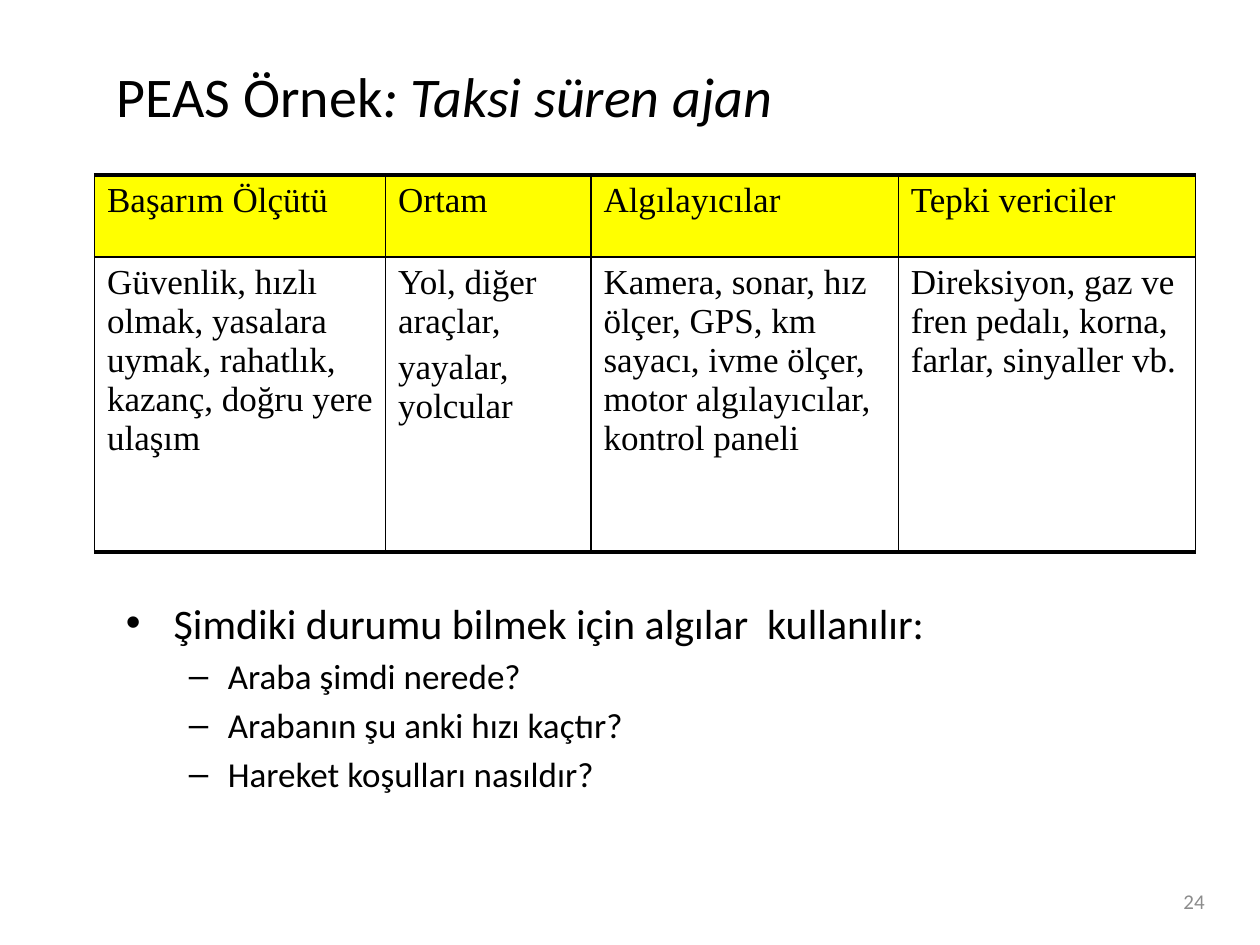
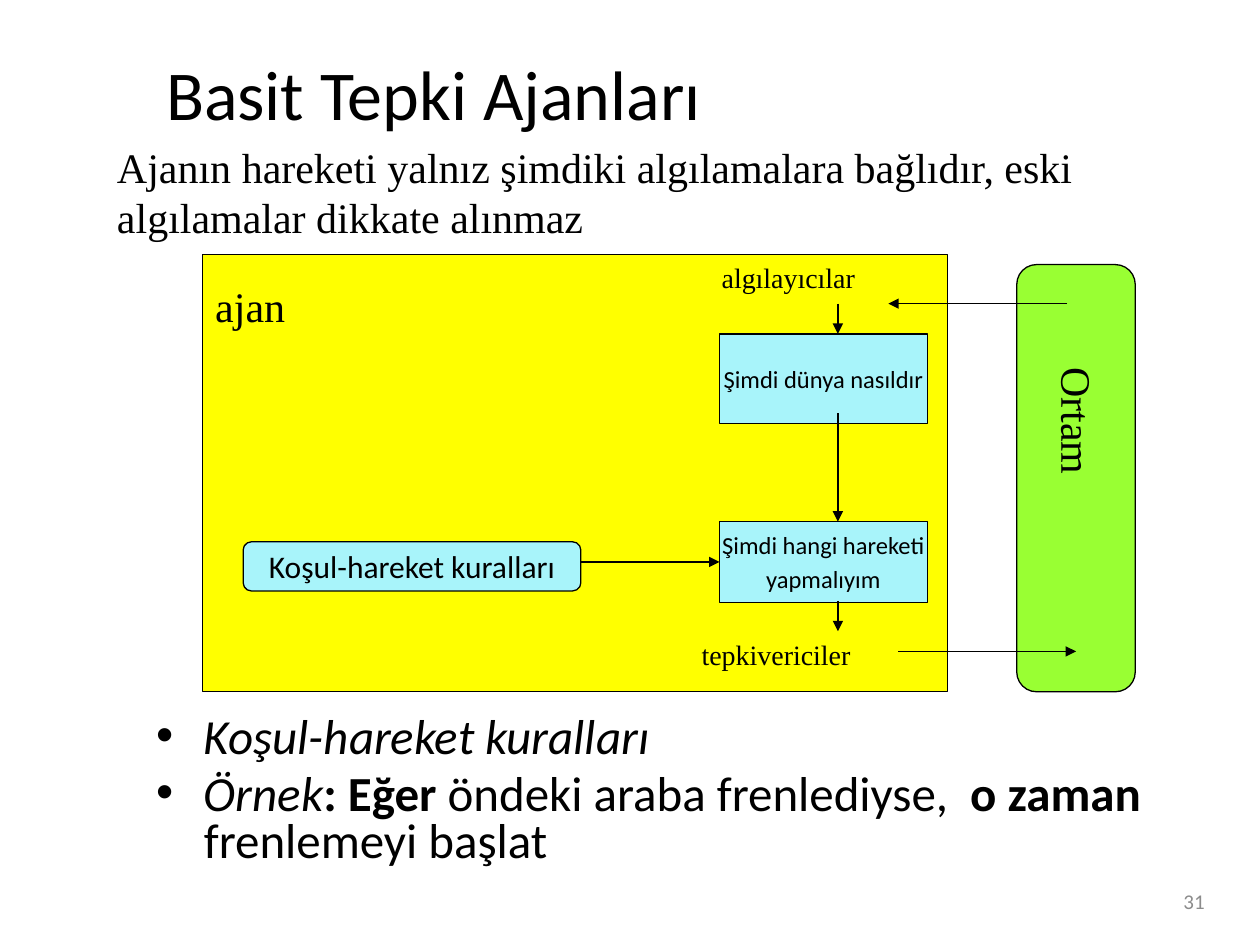
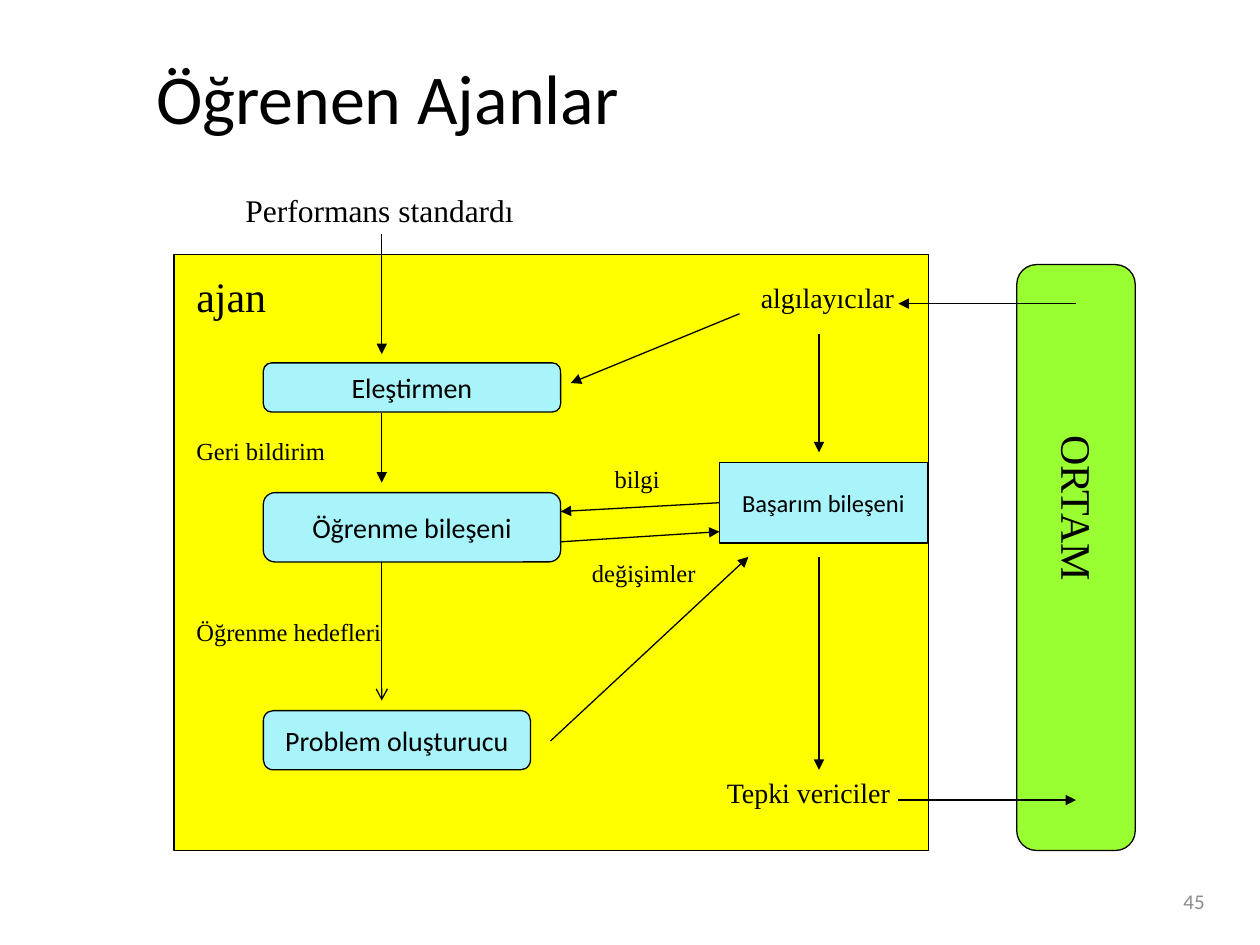
"""Build three slides on intelligent agents: a PEAS table and two agent diagrams."""
from dataclasses import dataclass

from lxml.etree import SubElement
from pptx import Presentation
from pptx.dml.color import RGBColor
from pptx.enum.shapes import MSO_CONNECTOR, MSO_SHAPE
from pptx.enum.text import MSO_ANCHOR, MSO_AUTO_SIZE, PP_ALIGN
from pptx.oxml.ns import qn
from pptx.util import Inches, Pt


@dataclass(frozen=True)
class Theme:
    black: str = "000000"
    gray: str = "8C8C8C"
    white: str = "FFFFFF"
    agent: str = "FFFF00"
    environment: str = "99FF33"
    step: str = "A8F4FA"
    sans: str = "Calibri"
    serif: str = "Times New Roman"
    title: int = 40
    large: int = 24
    table: int = 20
    number: int = 12
    line: float = 0.75
    thin: float = 1
    thick: float = 2.25
    corner: float = 0.167
    gap: float = 0.2


THEME = Theme()
BULLETS = [("•", 0.38, 0.38), ("–", 0.81, 0.31)]

TAXI = {
    "number": "24",
    "title": ([("PEAS Örnek", ""), (": Taksi süren ajan", "i")], (0.83, 0.36, 8.97, 0.79), 32),
    "body": (0.9, 4.69, 8.75, 2.44),
    "bullets": [
        (0, 24, [("Şimdiki durumu bilmek için algılar  kullanılır:", "")]),
        (1, 20, [("Araba şimdi nerede?", "")]),
        (1, 20, [("Arabanın şu anki hızı kaçtır?", "")]),
        (1, 20, [("Hareket koşulları nasıldır?", "")]),
    ],
}
PEAS_AT = (0.75, 1.39)
PEAS_COLUMNS = [2.31, 1.63, 2.44, 2.36]
PEAS_ROWS = [0.65, 2.34]
PEAS = [
    [["Başarım Ölçütü"], ["Ortam"], ["Algılayıcılar"], ["Tepki vericiler"]],
    [
        ["Güvenlik, hızlı olmak, yasalara uymak, rahatlık, kazanç, doğru yere ulaşım"],
        ["Yol, diğer araçlar,", "yayalar, yolcular"],
        ["Kamera, sonar, hız ölçer, GPS, km sayacı, ivme ölçer, motor algılayıcılar, kontrol paneli"],
        ["Direksiyon, gaz ve fren pedalı, korna, farlar, sinyaller vb."],
    ],
]

REFLEX = {
    "number": "31",
    "title": ([("Basit Tepki Ajanları", "")], (1.22, 0.28, 8.5, 0.91), THEME.title),
    "body": (1.14, 5.64, 8.5, 1.42),
    "spacing": 0.8,
    "bullets": [
        (0, 28, [("Koşul-hareket kuralları", "i")]),
        (0, 28, [("Örnek", "i"), (": Eğer", "b"), (" öndeki araba frenlediyse,  ", ""),
                 ("o zaman", "b"), (" frenlemeyi başlat", "")]),
    ],
    "agent": (1.61, 2.02, 5.91, 3.47),
    "environment": (8.07, 2.1, 0.94, 3.39),
    "environment_label": ("Ortam", (8.03, 3.09, 1.05, 0.5)),
    "steps": {
        "world": (["Şimdi dünya nasıldır"], (5.71, 2.65, 1.65, 0.71), 14, False),
        "action": (["Şimdi hangi hareketi", "yapmalıyım"], (5.71, 4.14, 1.65, 0.64), 14, False),
        "rules": (["Koşul-hareket kuralları"], (1.93, 4.3, 2.68, 0.39), 18, True),
    },
    "labels": [
        ("ajan", (1.61, 2.18, 0.91, 0.5), 24),
        ("algılayıcılar", (5.63, 2.02, 1.44, 0.37), 16),
        ("tepkivericiler", (5.47, 5.01, 1.65, 0.37), 16),
        ("Ajanın hareketi yalnız şimdiki algılamalara bağlıdır, eski algılamalar dikkate alınmaz",
         (0.83, 1.07, 8.98, 0.91), 24),
    ],
    "arrows": [
        ((6.65, 3.28), (6.65, 4.14)),
        ((4.61, 4.46), ("action", 1)),
        ((8.47, 2.41), (7.05, 2.41)),
        ((6.65, 2.41), (6.65, 2.65)),
        ((6.65, 4.77), (6.65, 5.01)),
        ((7.13, 5.17), (8.54, 5.17)),
    ],
}

LEARNING = {
    "number": "45",
    "title": ([("Öğrenen Ajanlar", "")], (1.14, 0.28, 8.5, 0.97), THEME.title),
    "agent": (1.38, 2.02, 5.99, 4.73),
    "environment": (8.07, 2.1, 0.94, 4.65),
    "environment_label": ("ORTAM", (7.85, 3.81, 1.41, 0.5)),
    "steps": {
        "critic": (["Eleştirmen"], (2.09, 2.88, 2.36, 0.39), 16, True),
        "learner": (["Öğrenme bileşeni"], (2.09, 3.91, 2.36, 0.55), 16, True),
        "performer": (["Başarım bileşeni"], (5.71, 3.67, 1.65, 0.64), 14, False),
        "generator": (["Problem oluşturucu"], (2.09, 5.64, 2.12, 0.47), 16, True),
    },
    "labels": [
        ("ajan", (1.46, 2.1, 0.91, 0.5), 24),
        ("algılayıcılar", (5.94, 2.18, 1.44, 0.37), 16),
        ("Tepki vericiler", (5.67, 6.11, 1.65, 0.37), 16),
        ("Öğrenme hedefleri", (1.46, 4.85, 1.81, 0.34), 14),
        ("Geri bildirim", (1.46, 3.41, 1.57, 0.34), 14),
        ("Performans standardı", (1.85, 1.47, 2.54, 0.4), 18),
        ("değişimler", (4.6, 4.38, 1.07, 0.34), 14),
        ("bilgi", (4.78, 3.63, 0.83, 0.33), 14),
    ],
    "arrows": [
        ((8.54, 2.41), (7.13, 2.41)),
        ((7.13, 6.35), (8.54, 6.35)),
        ((4.45, 4.3), (5.71, 4.22)),
        ((6.5, 2.65), (6.5, 3.59)),
        ((5.87, 2.49), (4.53, 3.04)),
        (("performer", 1), (4.45, 4.06)),
        ((6.5, 4.42), (6.5, 6.11)),
        ((4.37, 5.88), (5.94, 4.42)),
        ((3.03, 4.46), (3.03, 5.56), "arrow"),
        ((3.03, 3.28), (3.03, 3.83)),
        ((3.03, 1.86), (3.03, 2.81)),
    ],
}


def inches(values):
    return [Inches(value) for value in values]


def color(code):
    return RGBColor.from_string(code)


def write(frame, paragraphs, size, font, align=PP_ALIGN.LEFT, ink=THEME.black):
    for index, spans in enumerate(paragraphs):
        para = frame.paragraphs[0] if index == 0 else frame.add_paragraph()
        write_paragraph(para, spans, size, font, ink)
        para.alignment = align
        if index:
            para.space_before = Pt(size * THEME.gap)


def write_paragraph(para, spans, size, font, ink=THEME.black):
    for text, style in spans:
        span = para.add_run()
        span.text = text
        span.font.size = Pt(size)
        span.font.name = font
        span.font.bold = "b" in style
        span.font.italic = "i" in style
        span.font.color.rgb = color(ink)


def plain(lines):
    return [[(line, "")] for line in lines]


def add_text(page, at, paragraphs, size, font, anchor=MSO_ANCHOR.TOP, **look):
    box = page.shapes.add_textbox(*inches(at))
    frame = box.text_frame
    frame.word_wrap = True
    frame.vertical_anchor = anchor
    write(frame, paragraphs, size, font, **look)
    return box


def add_bullets(page, content):
    box = page.shapes.add_textbox(*inches(content["body"]))
    frame = box.text_frame
    frame.word_wrap = True
    for index, (level, size, spans) in enumerate(content["bullets"]):
        para = frame.paragraphs[0] if index == 0 else frame.add_paragraph()
        write_paragraph(para, spans, size, THEME.sans)
        para.level = level
        para.line_spacing = content.get("spacing", 1.0)
        if index:
            para.space_before = Pt(size * THEME.gap)
        mark, margin, hang = BULLETS[level]
        properties = para._p.get_or_add_pPr()
        properties.set("marL", str(Inches(margin)))
        properties.set("indent", str(-Inches(hang)))
        SubElement(properties, qn("a:buFont")).set("typeface", "Arial")
        SubElement(properties, qn("a:buChar")).set("char", mark)


def add_box(page, at, fill, rounded):
    kind = MSO_SHAPE.ROUNDED_RECTANGLE if rounded else MSO_SHAPE.RECTANGLE
    box = page.shapes.add_shape(kind, *inches(at))
    if rounded:
        box.adjustments[0] = THEME.corner
    box.shadow.inherit = False
    box.fill.solid()
    box.fill.fore_color.rgb = color(fill)
    box.line.color.rgb = color(THEME.black)
    box.line.width = Pt(THEME.line)
    return box


def add_step(page, lines, at, size, rounded):
    box = add_box(page, at, THEME.step, rounded)
    box.text_frame.word_wrap = False
    box.text_frame.vertical_anchor = MSO_ANCHOR.MIDDLE
    write(box.text_frame, plain(lines), size, THEME.sans, PP_ALIGN.CENTER)
    return box


def add_arrow(page, steps, start, end, head="triangle"):
    points = [(0, 0) if isinstance(spot[0], str) else spot for spot in (start, end)]
    arrow = page.shapes.add_connector(MSO_CONNECTOR.STRAIGHT, *inches(points[0] + points[1]))
    for spot, connect in ((start, arrow.begin_connect), (end, arrow.end_connect)):
        if isinstance(spot[0], str):
            connect(steps[spot[0]], spot[1])
    arrow.line.color.rgb = color(THEME.black)
    arrow.line.width = Pt(THEME.line)
    SubElement(arrow.line._get_or_add_ln(), qn("a:tailEnd")).set("type", head)
    SubElement(arrow._element.spPr, qn("a:effectLst"))


def add_diagram(page, content):
    add_box(page, content["agent"], THEME.agent, False)
    add_box(page, content["environment"], THEME.environment, True)
    text, at = content["environment_label"]
    label = add_text(page, at, plain([text]), THEME.large, THEME.serif)
    label.rotation = 90
    label.text_frame.word_wrap = False
    label.text_frame.auto_size = MSO_AUTO_SIZE.SHAPE_TO_FIT_TEXT
    steps = {name: add_step(page, *step) for name, step in content["steps"].items()}
    for text, at, size in content["labels"]:
        add_text(page, at, plain([text]), size, THEME.serif)
    for arrow in content["arrows"]:
        add_arrow(page, steps, *arrow)


def border_cell(cell, widths):
    properties = cell._tc.get_or_add_tcPr()
    for index, (side, width) in enumerate(widths.items()):
        edge = SubElement(properties, qn(f"a:ln{side}"), w=str(Pt(width)))
        fill = SubElement(edge, qn("a:solidFill"))
        SubElement(fill, qn("a:srgbClr")).set("val", THEME.black)
        properties.insert(index, edge)


def add_peas_table(page):
    size = (sum(PEAS_COLUMNS), sum(PEAS_ROWS))
    table = page.shapes.add_table(len(PEAS_ROWS), len(PEAS_COLUMNS), *inches(PEAS_AT + size)).table
    table.first_row = table.horz_banding = False
    for column, width in zip(table.columns, PEAS_COLUMNS):
        column.width = Inches(width)
    for index, (row, height) in enumerate(zip(table.rows, PEAS_ROWS)):
        row.height = Inches(height)
        header = index == 0
        widths = {"L": THEME.thin, "R": THEME.thin,
                  "T": THEME.thick if header else THEME.thin,
                  "B": THEME.thin if header else THEME.thick}
        for cell, lines in zip(row.cells, PEAS[index]):
            write(cell.text_frame, plain(lines), THEME.table, THEME.serif)
            cell.fill.solid()
            cell.fill.fore_color.rgb = color(THEME.agent if header else THEME.white)
            border_cell(cell, widths)


def add_page(deck, content):
    page = deck.slides.add_slide(deck.slide_layouts[6])
    spans, at, size = content["title"]
    add_text(page, at, [spans], size, THEME.sans, MSO_ANCHOR.MIDDLE)
    if "bullets" in content:
        add_bullets(page, content)
    if "agent" in content:
        add_diagram(page, content)
    add_text(page, (7.33, 6.95, 2.33, 0.4), plain([content["number"]]), THEME.number,
             THEME.sans, MSO_ANCHOR.MIDDLE, align=PP_ALIGN.RIGHT, ink=THEME.gray)
    return page


def main():
    deck = Presentation()
    deck.slide_width, deck.slide_height = Inches(10), Inches(7.5)
    add_peas_table(add_page(deck, TAXI))
    for content in (REFLEX, LEARNING):
        add_page(deck, content)
    deck.save("out.pptx")


if __name__ == "__main__":
    main()
